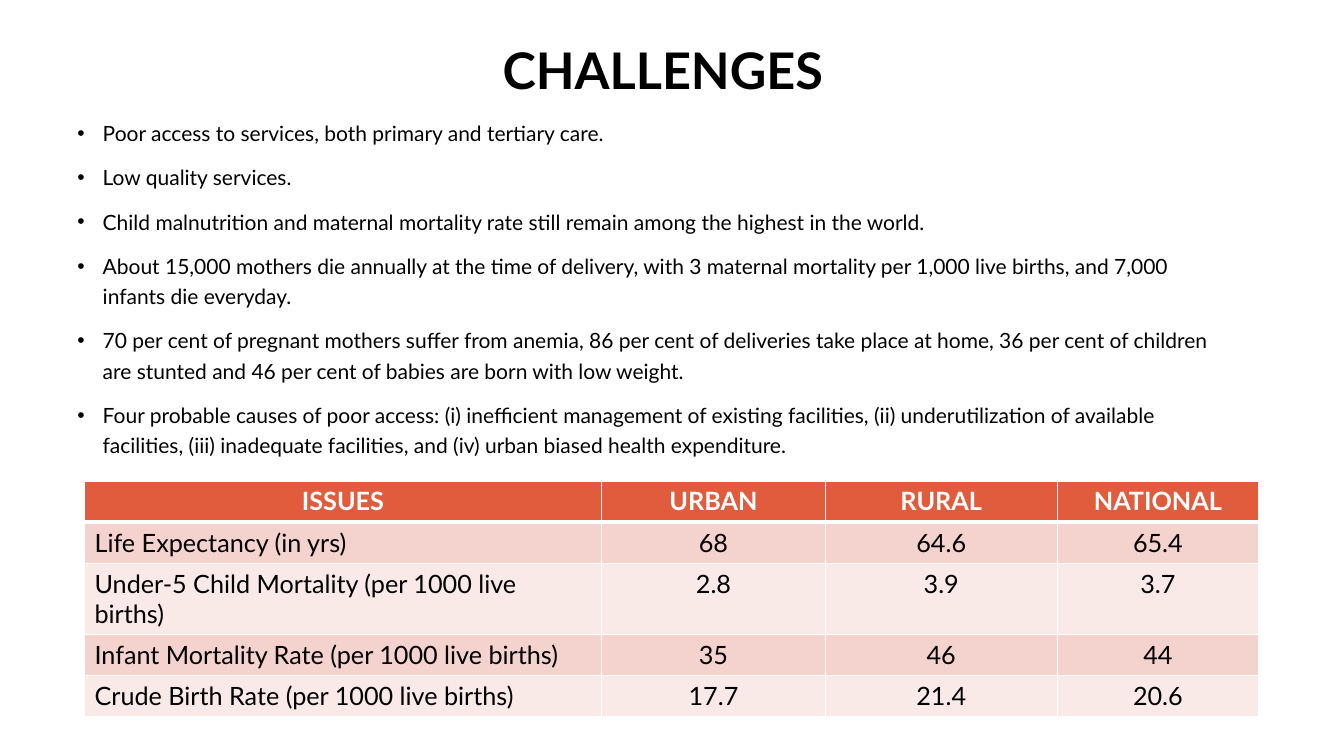
import pptx
import pptx.dml.color
import pptx.enum.text
import pptx.oxml
import pptx.oxml.ns
import pptx.util
from pptx.dml.color import RGBColor
from pptx.util import Cm, Pt

HEADING = "CHALLENGES"
CHALLENGES = [
    "Poor access to services, both primary and tertiary care.",
    "Low quality services.",
    "Child malnutrition and maternal mortality rate still remain among the highest in the world.",
    "About 15,000 mothers die annually at the time of delivery, with 3 maternal mortality "
    "per 1,000 live births, and 7,000 infants die everyday.",
    "70 per cent of pregnant mothers suffer from anemia, 86 per cent of deliveries take place "
    "at home, 36 per cent of children are stunted and 46 per cent of babies are born with low weight.",
    "Four probable causes of poor access: (i) inefficient management of existing facilities, "
    "(ii) underutilization of available facilities, (iii) inadequate facilities, and "
    "(iv) urban biased health expenditure.",
]
INDICATORS = [
    ("ISSUES", "URBAN", "RURAL", "NATIONAL"),
    ("Life Expectancy (in yrs)", "68", "64.6", "65.4"),
    ("Under-5 Child Mortality (per 1000 live births)", "2.8", "3.9", "3.7"),
    ("Infant Mortality Rate (per 1000 live births)", "35", "46", "44"),
    ("Crude Birth Rate (per 1000 live births)", "17.7", "21.4", "20.6"),
]
COLUMN_WIDTHS = [Cm(13.03), Cm(5.64), Cm(5.84), Cm(5.08)]
ROW_HEIGHT = Cm(1.04)
CONTENT_WIDTH = Cm(29.59)
INDENT = Cm(0.64)

FONT = "Lato"
BLACK = RGBColor(0x00, 0x00, 0x00)
WHITE = RGBColor(0xFF, 0xFF, 0xFF)
HEADER_FILL = RGBColor(0xE1, 0x5C, 0x3D)
BAND_FILLS = [RGBColor(0xF9, 0xEA, 0xE8), RGBColor(0xF4, 0xD2, 0xCE)]
ALIGN = pptx.enum.text.PP_ALIGN
TOP = pptx.enum.text.MSO_ANCHOR.TOP


def style(paragraph, size, color, bold=False):
    """Format every run of a paragraph."""
    for run in paragraph.runs:
        run.font.name = FONT
        run.font.size = Pt(size)
        run.font.bold = bold
        run.font.color.rgb = color


def add_bullet(paragraph):
    """Give a paragraph a round bullet with a hanging indent."""
    properties = paragraph._p.get_or_add_pPr()
    properties.set("marL", str(INDENT))
    properties.set("indent", str(-INDENT))
    for tag, attribute, value in (("buFont", "typeface", "Arial"), ("buChar", "char", "•")):
        mark = pptx.oxml.parse_xml(f'<a:{tag} {pptx.oxml.ns.nsdecls("a")} {attribute}="{value}"/>')
        properties.append(mark)


def add_borders(cell, bottom_width):
    """Draw white borders around a table cell."""
    properties = cell._tc.get_or_add_tcPr()
    for side, width in (("L", 1), ("R", 1), ("T", 1), ("B", bottom_width)):
        border = pptx.oxml.parse_xml(
            f'<a:ln{side} {pptx.oxml.ns.nsdecls("a")} w="{Pt(width)}">'
            f'<a:solidFill><a:srgbClr val="{WHITE}"/></a:solidFill></a:ln{side}>')
        properties.append(border)


def add_heading(slide):
    """Place the slide title."""
    heading = slide.shapes.title
    heading.left, heading.top = Cm(1.91), Cm(1.04)
    heading.width, heading.height = CONTENT_WIDTH, Cm(2.01)
    heading.text_frame.text = HEADING
    heading.text_frame.vertical_anchor = TOP
    line = heading.text_frame.paragraphs[0]
    line.alignment = ALIGN.CENTER
    line.line_spacing = 0.9
    style(line, 36, BLACK, bold=True)


def add_challenges(slide):
    """Place the bulleted list of challenges."""
    frame = slide.shapes.add_textbox(Cm(1.7), Cm(2.79), CONTENT_WIDTH, Cm(13.46)).text_frame
    frame.word_wrap = True
    frame.text = "\n".join(CHALLENGES)
    for index, challenge in enumerate(frame.paragraphs):
        add_bullet(challenge)
        challenge.line_spacing = 1.2
        challenge.space_before = Pt(10 if index else 0)
        style(challenge, 15, BLACK)


def add_indicators(slide):
    """Place the table of health indicators."""
    table = slide.shapes.add_table(
        len(INDICATORS), len(COLUMN_WIDTHS), Cm(2.13), Cm(12.12),
        CONTENT_WIDTH, ROW_HEIGHT * len(INDICATORS)).table
    for column, width in zip(table.columns, COLUMN_WIDTHS):
        column.width = width
    for row, values in enumerate(INDICATORS):
        table.rows[row].height = ROW_HEIGHT
        header = row == 0
        for column, value in enumerate(values):
            cell = table.cell(row, column)
            add_borders(cell, 3 if header else 1)
            cell.fill.solid()
            cell.fill.fore_color.rgb = HEADER_FILL if header else BAND_FILLS[row % 2]
            cell.text_frame.text = value
            line = cell.text_frame.paragraphs[0]
            line.alignment = ALIGN.CENTER if header or column else ALIGN.LEFT
            style(line, 18, WHITE if header else BLACK, bold=header)


def main():
    """Build the challenges slide."""
    deck = pptx.Presentation()
    deck.slide_width, deck.slide_height = Cm(33.87), Cm(19.05)
    slide = deck.slides.add_slide(deck.slide_layouts[5])
    add_heading(slide)
    add_challenges(slide)
    add_indicators(slide)
    deck.save("out.pptx")


if __name__ == "__main__":
    main()
